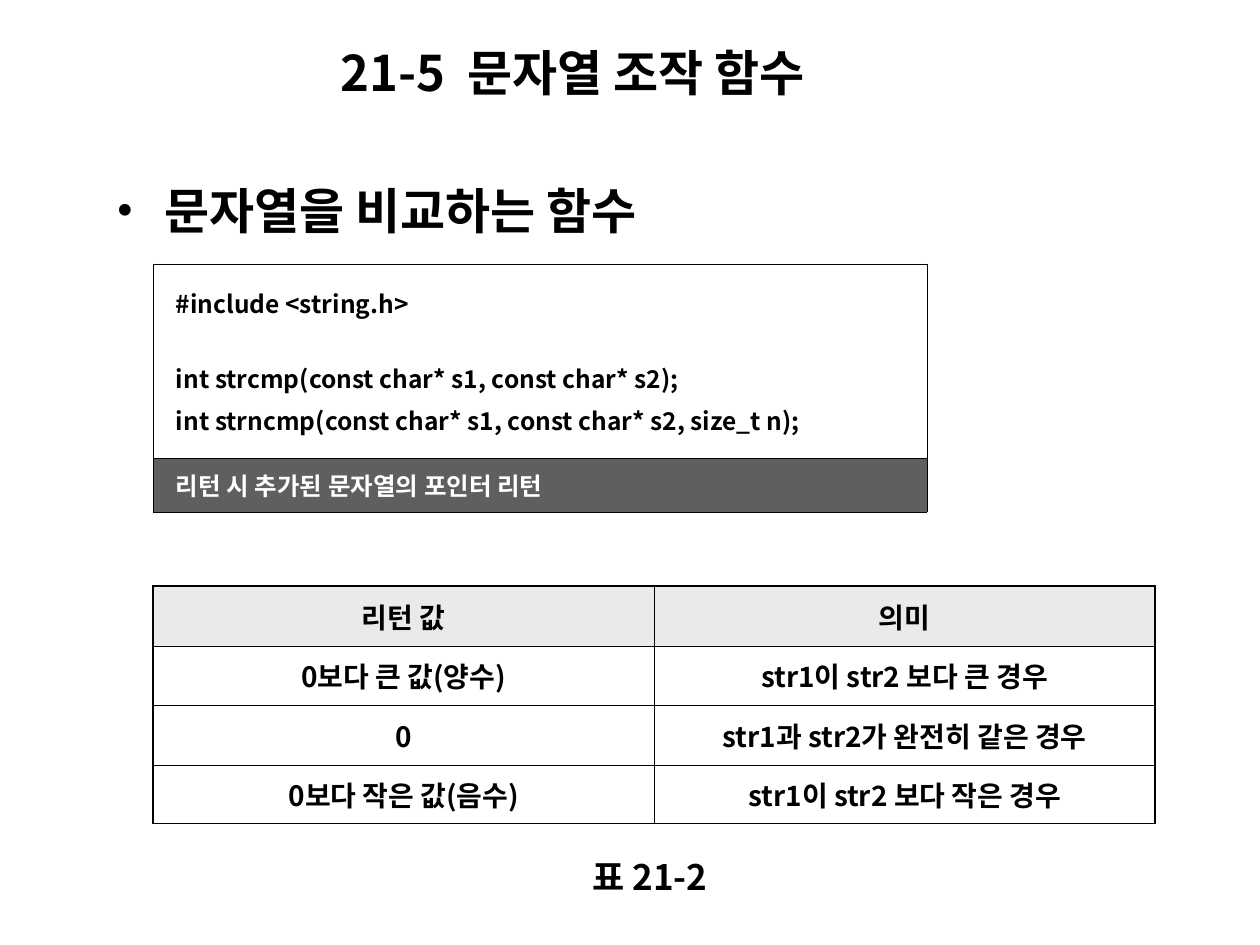
from lxml import etree
from pptx import Presentation
from pptx.dml.color import RGBColor
from pptx.enum.text import MSO_ANCHOR, MSO_AUTO_SIZE, PP_ALIGN
from pptx.oxml.ns import qn
from pptx.util import Emu, Pt

SCALE = 914400 / 126
FONT = "Noto Sans CJK KR"
BLACK, WHITE, DARK, PALE = "000000", "FFFFFF", "5F5F5F", "EAEAEA"
LEFT, CENTER = PP_ALIGN.LEFT, PP_ALIGN.CENTER
MIDDLE = MSO_ANCHOR.MIDDLE
THIN, THICK = 0.45, 0.75


def px(*lengths):
    return [Emu(round(length * SCALE)) for length in lengths]


def write(frame, text, size=16, color=BLACK, align=LEFT, before=0, first=True):
    para = frame.paragraphs[0] if first else frame.add_paragraph()
    para.alignment = align
    para.space_before = Pt(before)
    span = para.add_run()
    span.text = text
    span.font.name = FONT
    span.font.size = Pt(size)
    span.font.bold = True
    span.font.color.rgb = RGBColor.from_string(color)
    etree.SubElement(span._r.get_or_add_rPr(), qn("a:ea"), typeface=FONT)
    return para


deck = Presentation()
deck.slide_width, deck.slide_height = px(1260, 945)
page = deck.slides.add_slide(deck.slide_layouts[5])

# Title
title = page.shapes.title
title.left, title.top, title.width, title.height = px(328, 36, 566, 72)
title.text_frame.vertical_anchor = MIDDLE
title.text_frame.auto_size = MSO_AUTO_SIZE.SHAPE_TO_FIT_TEXT
write(title.text_frame, "21-5  문자열 조작 함수", size=28)

# Bulleted heading
heading = page.shapes.add_textbox(*px(104, 160, 629, 86))
heading.text_frame.word_wrap = True
para = write(heading.text_frame, "문자열을 비교하는 함수", size=28, before=7)
para.line_spacing = 1.25
indent = px(48)[0]
properties = para._p.get_or_add_pPr()
properties.set("marL", str(indent))
properties.set("indent", str(-indent))
etree.SubElement(properties, qn("a:buFont"), typeface="Times New Roman")
etree.SubElement(properties, qn("a:buChar"), char="•")

# Tables: function prototypes, then return values
code_table = page.shapes.add_table(2, 1, *px(153, 264, 774, 248)).table
value_table = page.shapes.add_table(4, 2, *px(153, 586, 1002, 238)).table
grids = [
    (code_table, [194, 54], [WHITE, DARK], THIN, 23),
    (value_table, [60, 59, 60, 59], [PALE, WHITE, WHITE, WHITE], THICK, 13),
]
for table, heights, fills, outer, margin in grids:
    last_row, last_column = len(table.rows) - 1, len(table.columns) - 1
    for r, row in enumerate(table.rows):
        row.height = px(heights[r])[0]
        for c, cell in enumerate(row.cells):
            cell.vertical_anchor = MIDDLE
            cell.margin_left = px(margin)[0]
            edges = {"a:lnL": c == 0, "a:lnR": c == last_column,
                     "a:lnT": r == 0, "a:lnB": r == last_row}
            for tag, is_outer in edges.items():
                width = Pt(outer if is_outer else THIN)
                line = etree.SubElement(cell._tc.get_or_add_tcPr(), qn(tag), w=str(width))
                paint = etree.SubElement(line, qn("a:solidFill"))
                etree.SubElement(paint, qn("a:srgbClr"), val=BLACK)
            cell.fill.solid()
            cell.fill.fore_color.rgb = RGBColor.from_string(fills[r])

# Prototypes, with a wider gap after the include line
prototypes = [
    ("#include <string.h>", 3.5),
    ("int strcmp(const char* s1, const char* s2);", 22.5),
    ("int strncmp(const char* s1, const char* s2, size_t n);", 3.5),
]
code_frame = code_table.cell(0, 0).text_frame
for number, (text, gap) in enumerate(prototypes):
    write(code_frame, text, size=14, before=gap, first=number == 0)
write(code_table.cell(1, 0).text_frame, "리턴 시 추가된 문자열의 포인터 리턴", size=14, color=WHITE)

# Return values
meanings = [
    ("리턴 값", "의미"),
    ("0보다 큰 값(양수)", "str1이 str2 보다 큰 경우"),
    ("0", "str1과 str2가 완전히 같은 경우"),
    ("0보다 작은 값(음수)", "str1이 str2 보다 작은 경우"),
]
for r, texts in enumerate(meanings):
    for c, text in enumerate(texts):
        write(value_table.cell(r, c).text_frame, text, align=CENTER, before=4)

# Caption, wide enough for one line
caption = page.shapes.add_textbox(*px(564, 854, 172, 44))
caption.text_frame.word_wrap = False
caption.text_frame.vertical_anchor = MIDDLE
write(caption.text_frame, "표 21-2", size=20, align=CENTER)

deck.save("out.pptx")
